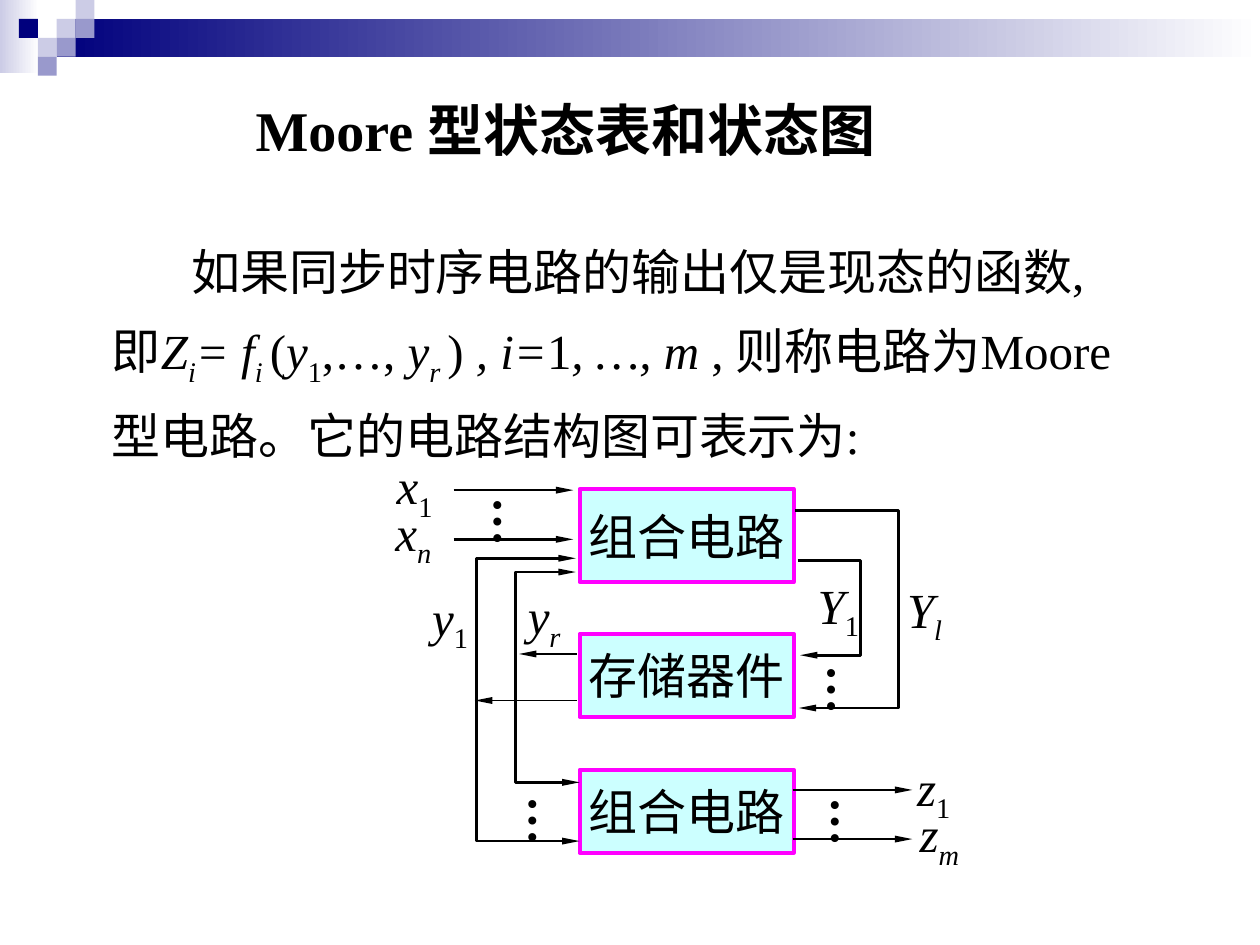
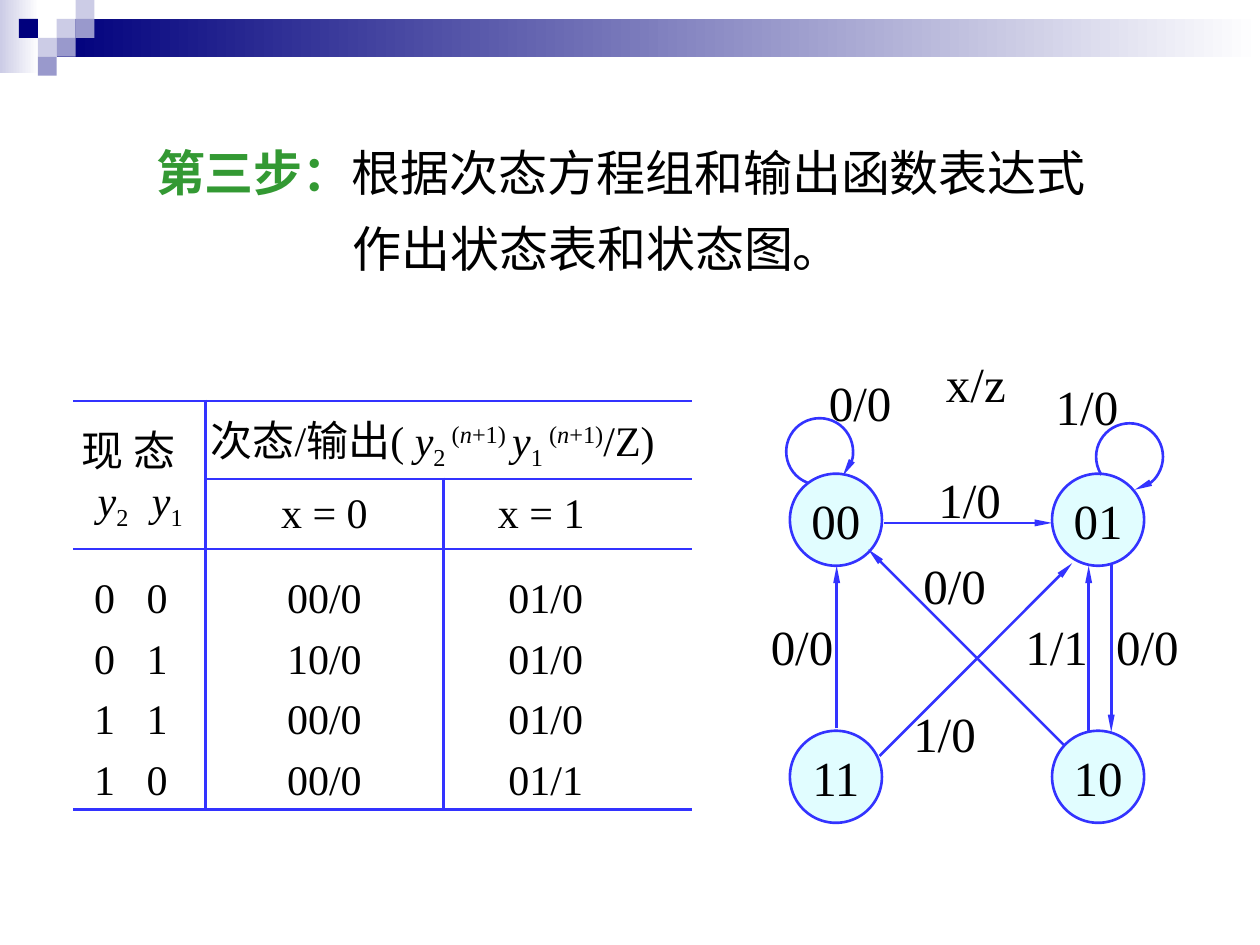
from lxml import etree
from pptx import Presentation
from pptx.dml.color import RGBColor
from pptx.enum.shapes import MSO_CONNECTOR, MSO_SHAPE
from pptx.enum.text import MSO_ANCHOR, MSO_AUTO_SIZE, PP_ALIGN
from pptx.oxml.ns import qn
from pptx.util import Pt

RECT, OVAL, ARC = MSO_SHAPE.RECTANGLE, MSO_SHAPE.OVAL, MSO_SHAPE.ARC
STRAIGHT = MSO_CONNECTOR.STRAIGHT
LEFT, MID = PP_ALIGN.LEFT, PP_ALIGN.CENTER
TOP, CENTER, BOTTOM = MSO_ANCHOR.TOP, MSO_ANCHOR.MIDDLE, MSO_ANCHOR.BOTTOM
GROW = MSO_AUTO_SIZE.SHAPE_TO_FIT_TEXT

FONT = "Times New Roman"
COLORS = {
    "black": "000000", "white": "FFFFFF", "navy": "00007D",
    "pale": "CCCCE6", "lilac": "9999CC", "green": "339933",
    "cyan": "CCFFFF", "pink": "FF00FF", "ice": "E1FDFF", "blue": "3333FF",
}


def color(name):
    return RGBColor.from_string(COLORS[name])


class Deck:
    """Holds the style and the current slide."""

    def __init__(self):
        self.prs = Presentation()
        self.prs.slide_width, self.prs.slide_height = Pt(720), Pt(540)
        self.shapes = None

    def page(self):
        """Start a slide with the top band and its mosaic of squares."""
        self.shapes = self.prs.slides.add_slide(self.prs.slide_layouts[6]).shapes
        self.fade(0, 0, 22.3, 41.8, "pale")
        self.fade(32.4, 10.8, 687.6, 21.6, "navy")
        step = 10.8
        for col, row, tone in [(3, 1, "pale"), (4, 0, "pale"), (4, 1, "lilac"),
                               (2, 2, "pale"), (1, 1, "navy"), (3, 2, "lilac"),
                               (2, 3, "lilac")]:
            self.shape(RECT, col * step, row * step, step, step, tone)

    # Shapes
    def shape(self, kind, x, y, w, h, fill=None, line=None, width=1.5):
        shape = self.shapes.add_shape(kind, Pt(x), Pt(y), Pt(w), Pt(h))
        self.paint(shape, fill, line, width)
        return shape

    def paint(self, shape, fill, line, width=1.5):
        shape.shadow.inherit = False
        if fill:
            shape.fill.solid()
            shape.fill.fore_color.rgb = color(fill)
        else:
            shape.fill.background()
        if line:
            shape.line.color.rgb = color(line)
            shape.line.width = Pt(width)
        else:
            shape.line.fill.background()

    def fade(self, x, y, w, h, tone):
        fill = self.shape(RECT, x, y, w, h, tone).fill
        fill.gradient()
        fill.gradient_angle = 0
        for stop, name, place in zip(fill.gradient_stops, (tone, "white"), (0, 1)):
            stop.color.rgb = color(name)
            stop.position = place

    def node(self, kind, x, y, w, h, text, fill, line, width=1.5):
        """A filled shape with one centred label."""
        shape = self.shape(kind, x, y, w, h, fill, line, width)
        frame = shape.text_frame
        frame.word_wrap = False
        frame.vertical_anchor = CENTER
        self.fill_in(frame.paragraphs[0], [(text, "")], align=MID)

    # Lines
    def tips(self, shape, *ends):
        line = shape._element.spPr.get_or_add_ln()
        for end in ends:
            etree.SubElement(line, qn("a:" + end), type="triangle", w="sm", len="lg")

    def arrow(self, x1, y1, x2, y2, tone="black", width=1.5):
        line = self.shapes.add_connector(STRAIGHT, Pt(x1), Pt(y1), Pt(x2), Pt(y2))
        line.line.color.rgb = color(tone)
        line.line.width = Pt(width)
        etree.SubElement(line._element.spPr, qn("a:effectLst"))
        self.tips(line, "tailEnd")

    def wire(self, points, *ends):
        """An open bent line."""
        first, *rest = [(Pt(x), Pt(y)) for x, y in points]
        pen = self.shapes.build_freeform(*first)
        pen.add_line_segments(rest, close=False)
        shape = pen.convert_to_shape()
        self.paint(shape, None, "black")
        self.tips(shape, *ends)

    def loop(self, x, y, size, start, end):
        """A clockwise arc between two angles in degrees."""
        arc = self.shape(ARC, x, y, size, size, None, "blue")
        for i, angle in enumerate((start, end)):
            arc.adjustments[i] = angle * 0.6
        self.tips(arc, "tailEnd")

    # Text
    def fill_in(self, para, runs, size=28, align=LEFT):
        """Marks: i italic, b bold, _ subscript, ^ superscript, g green."""
        para.alignment = align
        for text, marks in runs:
            run = para.add_run()
            run.text = text
            font = run.font
            font.name, font.size = FONT, Pt(size)
            font.bold, font.italic = "b" in marks, "i" in marks
            font.color.rgb = color("green" if "g" in marks else "black")
            base = "-25000" if "_" in marks else "30000" if "^" in marks else None
            if base:
                run._r.get_or_add_rPr().set("baseline", base)

    def text(self, x, y, w, h, runs, size=28, wrap=False, space=None,
             margin=0, indent=0):
        frame = self.shapes.add_textbox(Pt(x), Pt(y), Pt(w), Pt(h)).text_frame
        frame.word_wrap = wrap
        frame.auto_size = GROW
        para = frame.paragraphs[0]
        if space:
            para.line_spacing = space
        props = para._p.get_or_add_pPr()
        props.set("marL", str(Pt(margin)))
        props.set("indent", str(Pt(indent)))
        self.fill_in(para, runs, size)
        return frame

    def dots(self, x, y):
        frame = self.text(x, y, 48.2, 35.3, [("…", "b")])
        frame._txBody.bodyPr.set("vert", "eaVert")

    # Table
    def grid(self, x, y, widths, heights):
        table = self.shapes.add_table(len(heights), len(widths), Pt(x), Pt(y),
                                      Pt(sum(widths)), Pt(sum(heights))).table
        table.first_row = table.horz_banding = False
        for col, w in zip(table.columns, widths):
            col.width = Pt(w)
        for row, h in zip(table.rows, heights):
            row.height = Pt(h)
        return table

    def cell(self, cell, runs, align, anchor, left=0, right=0, low=0):
        cell.margin_left, cell.margin_right = Pt(left), Pt(right)
        cell.margin_top, cell.margin_bottom = 0, Pt(low)
        cell.vertical_anchor = anchor
        self.fill_in(cell.text_frame.paragraphs[0], runs, 24, align)

    def rule(self, cell, sides):
        """Draw the sides marked true, clear the others."""
        props = cell._tc.get_or_add_tcPr()
        for name, drawn in zip(("lnL", "lnR", "lnT", "lnB"), sides):
            line = etree.SubElement(props, qn("a:" + name), w=str(Pt(1.5)))
            if drawn:
                fill = etree.SubElement(line, qn("a:solidFill"))
                etree.SubElement(fill, qn("a:srgbClr"), val=COLORS["blue"])
            else:
                etree.SubElement(line, qn("a:noFill"))
        cell.fill.background()


def moore(deck):
    deck.page()
    deck.text(139, 51.1, 369.4, 45.4, [("Moore 型状态表和状态图", "b")], 32, wrap=True)
    deck.text(56.9, 124.6, 590.4, 138.2, [
        ("如果同步时序电路的输出仅是现态的函数, 即", ""), ("Z", "i"), ("i", "i_"),
        ("= f", "i"), ("i ", "i_"), ("(", ""), ("y", "i"), ("1", "_"),
        (",…, ", ""), ("y", "i"), ("r ", "i_"), (") ", ""), (", i=", "i"),
        ("1", ""), (", …, m", "i"),
        (" , 则称电路为Moore型电路。它的电路结构图可表示为:", ""),
    ], wrap=True, space=1.3, indent=45.4)

    # Circuit blocks
    for y, h, name in [(279.4, 53.3, "组合电路"), (362.2, 47.5, "存储器件"),
                       (439.9, 47.5, "组合电路")]:
        deck.node(RECT, 331.2, y, 122.4, h, name, "cyan", "pink", 2.25)

    # Inputs, outputs and stored state
    for x, y in [(259.2, 280.1), (259.2, 308.2), (452.9, 451.4), (452.9, 479.5)]:
        deck.arrow(x, y, x + 68.4, y)
    for y, end in [(373.7, 296.6), (400.3, 271.4)]:
        deck.arrow(329.8, y, end, y, width=1)

    # Feedback wires
    for x, low, high in [(294.5, 447.1, 326.9), (272.2, 480.6, 319)]:
        deck.wire([(331.2, low), (x, low), (x, high), (329, high)],
                  "headEnd", "tailEnd")
    for start, x, end, high, low in [(455.8, 491.8, 457.2, 320.4, 374.4),
                                     (454.3, 513.4, 456.5, 291.6, 404.6)]:
        deck.wire([(start, high), (x, high), (x, low), (end, low)], "tailEnd")

    # Signal names
    for x, y, w, name, sub in [
            (219.6, 257, 36.7, "x", "1"), (218.9, 283.7, 36.7, "x", "n"),
            (294.5, 331.2, 34.6, "y", "r"), (239.8, 331.9, 36.7, "y", "1"),
            (460.1, 325.4, 39.6, "Y", "1"), (511.2, 327.6, 35.3, "Y", "l"),
            (517, 429.1, 34.6, "z", "1"), (518.4, 455.8, 38.9, "z", "m")]:
        mark = "_" if sub == "1" else "i_"
        deck.text(x, y, w, 41, [(name, "i"), (sub, mark)])
    for x, y in [(265.7, 277.2), (285.8, 447.8), (456.5, 373), (458.6, 448.6)]:
        deck.dots(x, y)


def states(deck):
    deck.page()
    deck.text(82.1, 67.7, 560.9, 95, [
        ("第三步：", "bg"), ("根据次态方程组和输出函数表达式作出状态表和状态图。", ""),
    ], wrap=True, space=1.3, margin=112.3, indent=-112.3)

    # State table
    table = deck.grid(41.8, 229, [33, 42.6, 136, 141.9],
                      [44.6, 40.3, 45, 34.6, 34.6, 34.6])
    for r in range(6):
        for c in range(4):
            above, below = [i in (0, 2, 6) or (i == 1 and c > 1) for i in (r, r + 1)]
            before, after = [j == 2 or (j == 3 and r > 0) for j in (c, c + 1)]
            deck.rule(table.cell(r, c), (before, after, above, below))
    for c in (0, 2):
        table.cell(0, c).merge(table.cell(0, c + 1))
    deck.cell(table.cell(0, 0), [("现 态", "")], LEFT, BOTTOM, left=5)
    deck.cell(table.cell(0, 2), [
        ("次态/输出( ", ""), ("y", "i"), ("2 ", "_"), ("(", "^"), ("n", "i^"),
        ("+1) ", "^"), ("y", "i"), ("1 ", "_"), ("(", "^"), ("n", "i^"),
        ("+1)", "^"), ("/Z)", ""),
    ], LEFT, CENTER, left=3)
    for c, sub, left in [(0, "2", 14), (1, "1", 12)]:
        deck.cell(table.cell(1, c), [("y", "i"), (sub, "_")], LEFT, TOP, left=left)
    for c, name, right in [(2, "x = 0", 0), (3, "x = 1", 30)]:
        deck.cell(table.cell(1, c), [(name, "")], MID, CENTER, right=right)
    rows = [("0", "0", "00/0", "01/0"), ("0", "1", "10/0", "01/0"),
            ("1", "1", "00/0", "01/0"), ("1", "0", "00/0", "01/1")]
    looks = [(LEFT, 12, 0), (LEFT, 9, 0), (MID, 0, 0), (MID, 0, 25)]
    for r, row in enumerate(rows, 2):
        for c, (value, (align, left, right)) in enumerate(zip(row, looks)):
            deck.cell(table.cell(r, c), [(value, "")], align, BOTTOM, left, right, 3)

    # State graph
    for y, pair in [(270.7, ("00", "01")), (417.6, ("11", "10"))]:
        for x, name in zip((451.4, 601.2), pair):
            deck.node(OVAL, x, y, 52.6, 52.6, name, "ice", "blue")
    deck.loop(449.3, 239, 38.2, 111, 46)
    deck.loop(626.4, 241.9, 38.2, 147, 81)
    for ends in [(505.4, 298.8, 601.2, 298.8), (478.1, 416.2, 478.1, 323.3),
                 (502.6, 432, 612.7, 321.8), (608.4, 426.2, 496.1, 313.9),
                 (622.1, 418.3, 622.1, 323.3), (635, 321.8, 635, 418.3)]:
        deck.arrow(*ends, tone="blue")
    for x, y, name in [
            (529.2, 265, "1/0"), (533.5, 198.7, "x/z"), (520.6, 313.9, "0/0"),
            (630.7, 348.5, "0/0"), (433.4, 348.5, "0/0"), (514.8, 398.2, "1/0"),
            (578.9, 348.5, "1/1"), (466.6, 209.5, "0/0"), (596.2, 211.7, "1/0")]:
        deck.text(x, y, 50, 41, [(name, "")])


def main():
    deck = Deck()
    moore(deck)
    states(deck)
    deck.prs.save("out.pptx")


if __name__ == "__main__":
    main()
